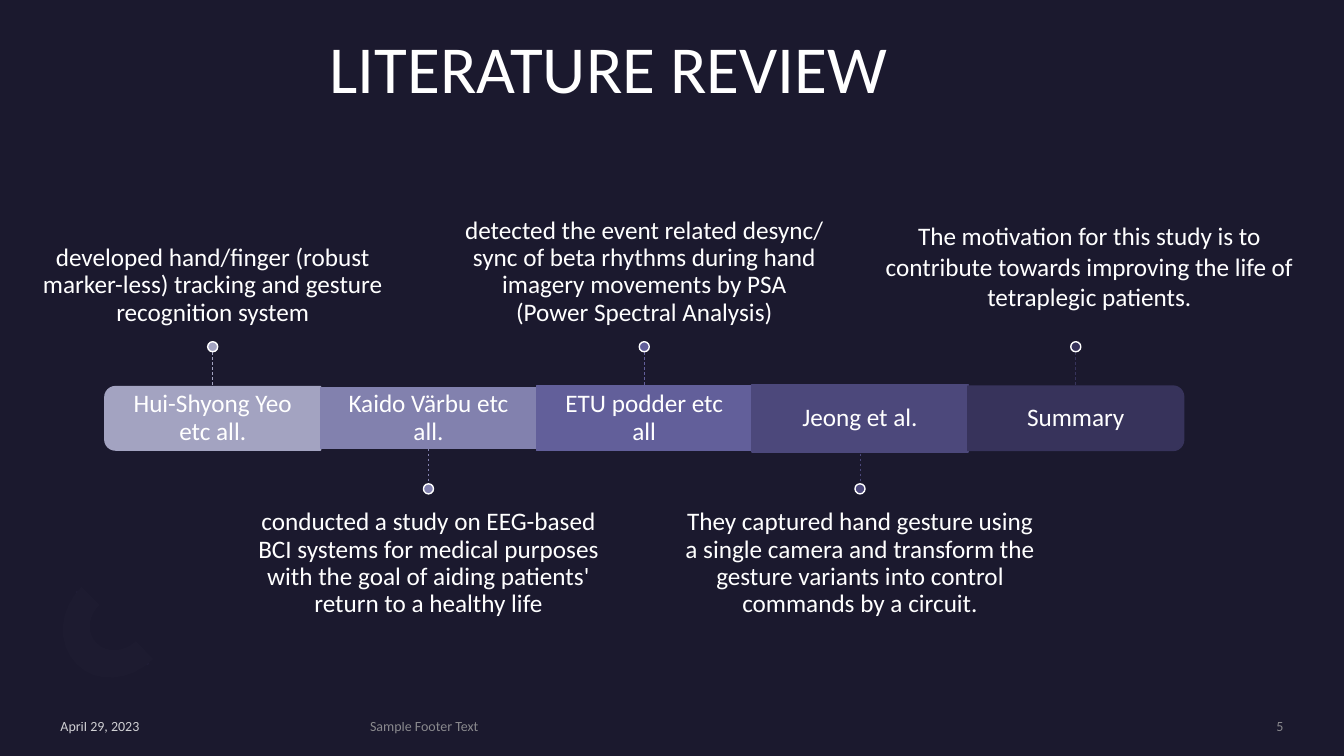
from lxml import etree
from pptx import Presentation
from pptx.dml.color import RGBColor
from pptx.enum.dml import MSO_LINE
from pptx.enum.shapes import MSO_CONNECTOR, MSO_SHAPE
from pptx.enum.text import MSO_ANCHOR, PP_ALIGN
from pptx.oxml.ns import qn
from pptx.util import Inches, Pt

BACKGROUND = RGBColor(0x1B, 0x19, 0x2E)
WHITE = RGBColor(0xFF, 0xFF, 0xFF)
GREY = RGBColor(0xA6, 0xA6, 0xA6)
ELLIPSE_FILL = RGBColor(0x2C, 0x28, 0x4A)
ARC_FILL = RGBColor(0x1D, 0x1B, 0x30)

TITLE = "LITERATURE REVIEW"
# label, description, bar height, colour
STEPS = [
    ("Hui-Shyong Yeo etc all.",
     "developed hand/finger (robust marker-less) tracking and gesture recognition system",
     0.63, RGBColor(0xA3, 0xA3, 0xC1)),
    ("Kaido Värbu etc all.",
     "conducted a study on EEG-based BCI systems for medical purposes "
     "with the goal of aiding patients' return to a healthy life",
     0.6, RGBColor(0x82, 0x81, 0xAE)),
    ("ETU podder etc all",
     "detected the event related desync/ sync of beta rhythms during hand "
     "imagery movements by PSA (Power Spectral Analysis)",
     0.64, RGBColor(0x62, 0x5F, 0x9A)),
    ("Jeong et al.",
     "They captured hand gesture using a single camera and transform the "
     "gesture variants into control commands by a circuit.",
     0.67, RGBColor(0x4C, 0x48, 0x7B)),
    ("Summary", None, 0.64, RGBColor(0x37, 0x33, 0x5B)),
]
SUMMARY = ("The motivation for this study is to contribute towards improving "
           "the life of tetraplegic patients.")
# text, left, width, colour, alignment
FOOTERS = [
    ("April 29, 2023", 0.6, 2.88, WHITE, PP_ALIGN.LEFT),
    ("Sample Footer Text", 3.67, 6.98, GREY, PP_ALIGN.LEFT),
    ("5", 10.88, 1.85, GREY, PP_ALIGN.RIGHT),
]
ELLIPSES = [(1.35, 6.37), (0.82, 5.83)]
# Each edge of the half ring: start, then cubic curves (control, control, end)
OUTER_EDGE = [(0.81, 5.82), (0.58, 6.05), (0.56, 6.39), (0.76, 6.59),
              (0.95, 6.79), (1.3, 6.76), (1.52, 6.54)]
INNER_EDGE = [(1.35, 6.36), (1.23, 6.47), (1.06, 6.48), (0.96, 6.38),
              (0.86, 6.29), (0.87, 6.11), (0.99, 6)]

BAR_LEFT, BAR_WIDTH, BAR_MIDDLE = 1.04, 2.14, 4.15
DESCRIPTION_WIDTH, DESCRIPTION_HEIGHT = 3.57, 1.76
DOT = 0.1
CURVE_PARTS = 8

presentation = Presentation()
presentation.slide_width, presentation.slide_height = Inches(13.33), Inches(7.5)
slide = presentation.slides.add_slide(presentation.slide_layouts[6])
slide.background.fill.solid()
slide.background.fill.fore_color.rgb = BACKGROUND


def add_text(text, left, top, width, height, size=18, color=WHITE,
             align=PP_ALIGN.CENTER, anchor=MSO_ANCHOR.TOP,
             insets=(0.1, 0.05, 0.1, 0.05), spacing=None):
    """Add a text box; insets run left, top, right, bottom."""
    box = slide.shapes.add_textbox(*map(Inches, (left, top, width, height)))
    frame = box.text_frame
    frame.word_wrap = True
    frame.vertical_anchor = anchor
    (frame.margin_left, frame.margin_top,
     frame.margin_right, frame.margin_bottom) = map(Inches, insets)
    paragraph = frame.paragraphs[0]
    paragraph.text = text
    paragraph.alignment = align
    paragraph.line_spacing = spacing
    paragraph.font.name, paragraph.font.size = "Calibri", Pt(size)
    paragraph.font.color.rgb = color
    return paragraph


def paint(shape, fill, line=None):
    shape.shadow.inherit = False
    shape.fill.solid()
    shape.fill.fore_color.rgb = fill
    if line is None:
        shape.line.fill.background()
    else:
        shape.line.color.rgb = line
        shape.line.width = Pt(1)


def add_shape(kind, left, top, width, height, fill, line=None, rotation=0):
    shape = slide.shapes.add_shape(kind, *map(Inches, (left, top, width, height)))
    shape.rotation = rotation
    paint(shape, fill, line)


def curve_points(edge):
    """Return points along a chain of cubic curves."""
    points = [edge[0]]
    for first in range(0, len(edge) - 1, 3):
        a, b, c, d = edge[first:first + 4]
        for part in range(1, CURVE_PARTS + 1):
            t = part / CURVE_PARTS
            s = 1 - t
            points.append(tuple(
                s**3 * a[k] + 3 * s * s * t * b[k] + 3 * s * t * t * c[k] + t**3 * d[k]
                for k in (0, 1)))
    return points


def add_dashed_line(x, top, bottom, color):
    line = slide.shapes.add_connector(
        MSO_CONNECTOR.STRAIGHT, Inches(x), Inches(top), Inches(x), Inches(bottom))
    line.line.color.rgb = color
    line.line.width = Pt(0.5)
    line.line.dash_style = MSO_LINE.DASH
    etree.SubElement(line._element.spPr, qn("a:effectLst"))


def add_bar(index, height, color):
    left, top = BAR_LEFT + index * BAR_WIDTH, BAR_MIDDLE - height / 2
    if 0 < index < len(STEPS) - 1:
        add_shape(MSO_SHAPE.RECTANGLE, left, top, BAR_WIDTH, height, color, color)
    else:
        # The rounded side of the preset faces up, so it is turned outwards.
        add_shape(MSO_SHAPE.ROUND_2_SAME_RECTANGLE,
                  left + (BAR_WIDTH - height) / 2, BAR_MIDDLE - BAR_WIDTH / 2,
                  height, BAR_WIDTH, color, color, 90 if index else 270)


for left, top in ELLIPSES:
    add_shape(MSO_SHAPE.OVAL, left, top, 0.06, 0.26, ELLIPSE_FILL, rotation=135)
ring = [(Inches(x), Inches(y))
        for x, y in curve_points(OUTER_EDGE) + curve_points(INNER_EDGE)]
builder = slide.shapes.build_freeform(*ring[0])
builder.add_line_segments(ring[1:], close=True)
paint(builder.convert_to_shape(), ARC_FILL)

for index, (label, description, height, color) in enumerate(STEPS):
    left = BAR_LEFT + index * BAR_WIDTH
    center = left + BAR_WIDTH / 2
    above = index % 2 == 0
    add_bar(index, height, color)
    add_text(label, left, BAR_MIDDLE - height / 2, BAR_WIDTH, height,
             anchor=MSO_ANCHOR.MIDDLE, insets=(0.15,) * 4, spacing=0.9)
    if description:
        add_text(description, center - DESCRIPTION_WIDTH / 2, 1.63 if above else 4.9,
                 DESCRIPTION_WIDTH, DESCRIPTION_HEIGHT,
                 anchor=MSO_ANCHOR.BOTTOM if above else MSO_ANCHOR.TOP,
                 insets=(0, 0, 0, 0.15) if above else (0, 0.15, 0, 0), spacing=0.9)
    add_dashed_line(center, *((3.49, 3.9) if above else (4.4, 4.8)), color)
    add_shape(MSO_SHAPE.OVAL, center - DOT / 2, 3.39 if above else 4.8,
              DOT, DOT, color, WHITE)

for text, left, width, color, align in FOOTERS:
    paragraph = add_text(text, left, 7.12, width, 0.17, 10, color, align,
                         MSO_ANCHOR.MIDDLE, (0, 0, 0, 0))
    for rgb in paragraph._p.iter(qn("a:srgbClr")):
        etree.SubElement(rgb, qn("a:alpha"), val="80000")

add_text(SUMMARY, 8.46, 2.14, 4.69, 1.01)
add_text(TITLE, 3.17, 0.21, 6.67, 1.72, 48, align=PP_ALIGN.LEFT)

presentation.save("out.pptx")
